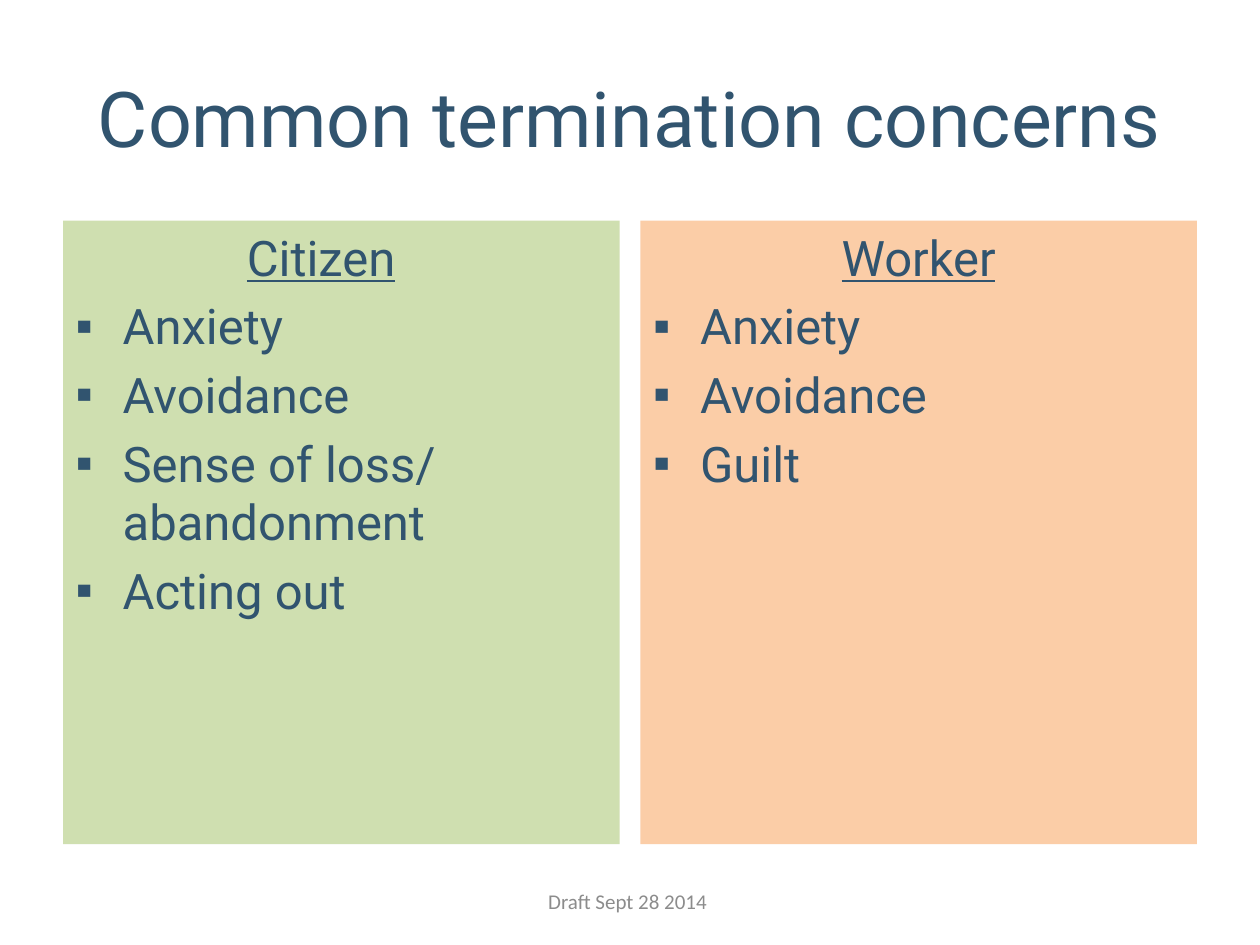
from lxml.etree import SubElement
from pptx import Presentation
from pptx.dml.color import RGBColor
from pptx.enum.text import MSO_ANCHOR, PP_ALIGN
from pptx.oxml.ns import qn
from pptx.util import Cm, Pt

COLORS = {"text": "31546F", "green": "9BBB59", "orange": "F79646", "footer": "8C8C8C"}


class SlideBuilder:
    font = "Roboto"
    opacity = 47
    indent = Cm(0.95)

    def __init__(self, slide):
        self.s = slide

    def place(self, sp, left, top, width, height):
        sp.left, sp.top, sp.width, sp.height = Cm(left), Cm(top), Cm(width), Cm(height)

    def style(self, p, size, color="text", font=None):
        for r in p.runs:
            r.font.size = Pt(size)
            r.font.name = font or self.font
            r.font.color.rgb = RGBColor.from_string(COLORS[color])

    def title(self, text, *box):
        sp = self.s.shapes.title
        self.place(sp, *box)
        tf = sp.text_frame
        tf.text = text
        tf.vertical_anchor = MSO_ANCHOR.MIDDLE
        tf.paragraphs[0].alignment = PP_ALIGN.CENTER
        self.style(tf.paragraphs[0], 44)

    def bullet(self, p, char=None):
        pPr = p._p.get_or_add_pPr()
        indent = self.indent if char else 0
        pPr.set("marL", str(indent))
        pPr.set("indent", str(-indent))
        if char:
            SubElement(pPr, qn("a:buChar")).set("char", char)
        else:
            SubElement(pPr, qn("a:buNone"))

    def panel(self, idx, heading, items, color, *box):
        sp = self.s.placeholders[idx]
        self.place(sp, *box)
        sp.fill.solid()
        sp.fill.fore_color.rgb = RGBColor.from_string(COLORS[color])
        clr = sp.fill._xPr.find(".//" + qn("a:srgbClr"))
        SubElement(clr, qn("a:alpha")).set("val", str(self.opacity * 1000))
        tf = sp.text_frame
        # Underlined heading; a tab after it moves it off centre
        p = tf.paragraphs[0]
        for part in heading:
            r = p.add_run()
            r.text = part
            r.font.underline = part != "\t"
        p.alignment = PP_ALIGN.CENTER
        self.bullet(p)
        self.style(p, 28)
        # Bulleted concerns
        for item in items:
            p = tf.add_paragraph()
            p.text = item
            self.bullet(p, "▪")
            self.style(p, 28)

    def footer(self, text, *box):
        sp = self.s.shapes.add_textbox(0, 0, 0, 0)
        self.place(sp, *box)
        tf = sp.text_frame
        tf.word_wrap = True
        tf.vertical_anchor = MSO_ANCHOR.MIDDLE
        tf.text = text
        tf.paragraphs[0].alignment = PP_ALIGN.CENTER
        self.style(tf.paragraphs[0], 12, "footer", "Calibri")


prs = Presentation()
prs.slide_width, prs.slide_height = Cm(25.4), Cm(19.05)
two_content = prs.slide_layouts[3]
slide = SlideBuilder(prs.slides.add_slide(two_content))

# Title
slide.title("Common termination concerns", 1.27, 0.76, 22.86, 3.18)

# Two equal panels
margin, width, gap = 1.27, 11.22, 0.42
panels = [
    (["Citizen", "\t"], ["Anxiety", "Avoidance", "Sense of loss/ abandonment", "Acting out"], "green"),
    (["Worker"], ["Anxiety", "Avoidance", "Guilt"], "orange"),
]
for i, (heading, items, color) in enumerate(panels):
    slide.panel(i + 1, heading, items, color, margin + i * (width + gap), 4.45, width, 12.57)

# Footer
slide.footer("Draft Sept 28 2014 ", 8.68, 17.66, 8.04, 1.01)

prs.save("out.pptx")
